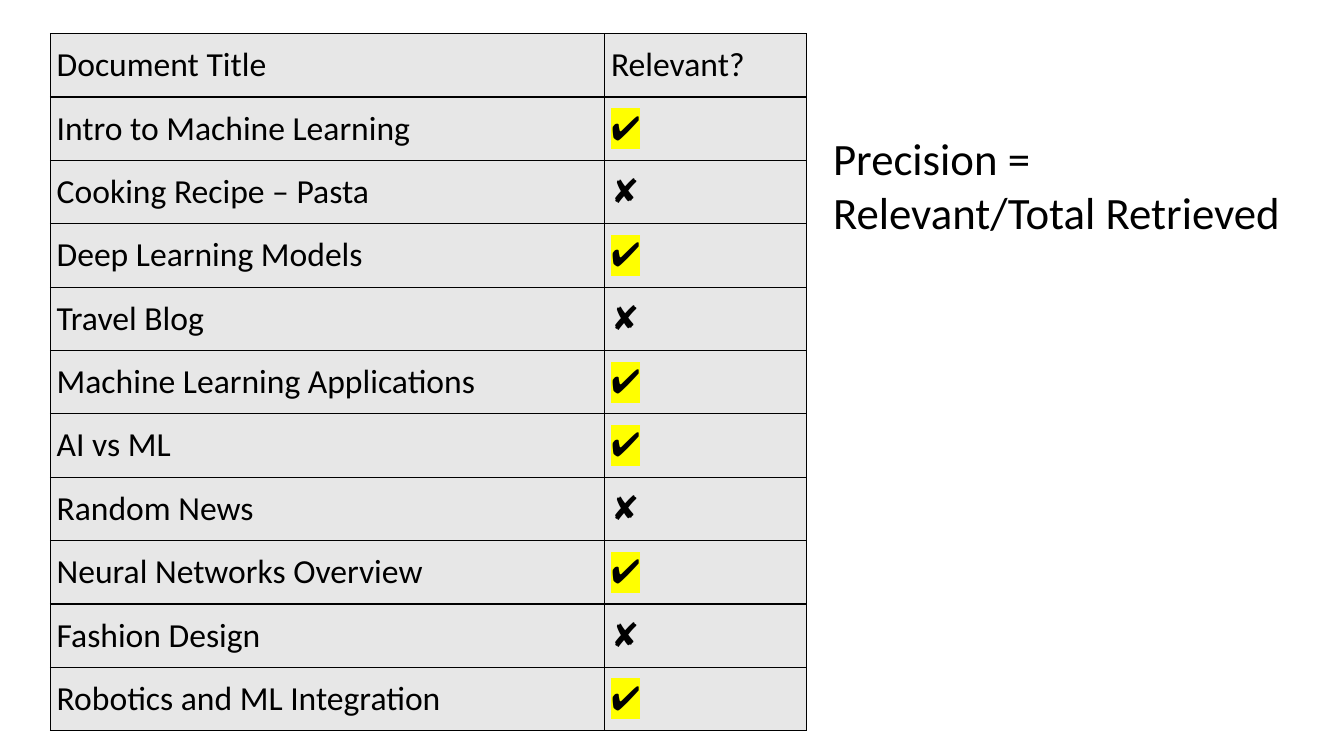
from lxml import etree
from pptx import Presentation
from pptx.dml.color import RGBColor
from pptx.enum.text import MSO_ANCHOR, MSO_AUTO_SIZE
from pptx.oxml.ns import qn
from pptx.util import Emu, Pt

MIDDLE = MSO_ANCHOR.MIDDLE
GROW_TO_TEXT = MSO_AUTO_SIZE.SHAPE_TO_FIT_TEXT
BLACK = RGBColor(0x00, 0x00, 0x00)
CELL_GREY = RGBColor(0xE7, 0xE7, 0xE7)
YELLOW = RGBColor(0xFF, 0xFF, 0x00)
FONT = "Calibri"
EMU_PER_PX = 9525
BLANK_LAYOUT = 6

HEADER = ("Document Title", "Relevant?")
RELEVANT, IRRELEVANT = "✔", "✘"
DOCUMENTS = [
    ("Intro to Machine Learning", RELEVANT),
    ("Cooking Recipe – Pasta", IRRELEVANT),
    ("Deep Learning Models", RELEVANT),
    ("Travel Blog", IRRELEVANT),
    ("Machine Learning Applications", RELEVANT),
    ("AI vs ML", RELEVANT),
    ("Random News", IRRELEVANT),
    ("Neural Networks Overview", RELEVANT),
    ("Fashion Design", IRRELEVANT),
    ("Robotics and ML Integration", RELEVANT),
]
PRECISION_FORMULA = "Precision =\nRelevant/Total Retrieved"


def px(length):
    return Emu(length * EMU_PER_PX)


def add_color(parent, tag, color):
    holder = etree.SubElement(parent, qn(tag))
    etree.SubElement(holder, qn("a:srgbClr"), val=str(color))
    return holder


def format_text(text_frame, size):
    for paragraph in text_frame.paragraphs:
        for run in paragraph.runs:
            run.font.size = Pt(size)
            run.font.name = FONT
            run.font.color.rgb = BLACK


def highlight(run):
    properties = run._r.get_or_add_rPr()
    marker = add_color(properties, "a:highlight", YELLOW)
    properties.find(qn("a:latin")).addprevious(marker)


def add_borders(cell):
    properties = cell._tc.get_or_add_tcPr()
    for position, side in enumerate(("a:lnL", "a:lnR", "a:lnT", "a:lnB")):
        border = etree.Element(qn(side), w=str(Pt(1)))
        add_color(border, "a:solidFill", BLACK)
        properties.insert(position, border)


def fill_cell(cell, text):
    cell.text_frame.text = text
    format_text(cell.text_frame, 24)
    cell.vertical_anchor = MIDDLE
    cell.margin_left = cell.margin_right = px(6)
    cell.margin_top = cell.margin_bottom = px(3)
    cell.fill.solid()
    cell.fill.fore_color.rgb = CELL_GREY
    add_borders(cell)
    if text == RELEVANT:
        highlight(cell.text_frame.paragraphs[0].runs[0])


def add_relevance_table(slide, left, top, column_widths, height):
    entries = [HEADER, *DOCUMENTS]
    table = slide.shapes.add_table(
        len(entries), len(HEADER), px(left), px(top), px(sum(column_widths)), px(height)
    ).table
    for column, width in zip(table.columns, column_widths):
        column.width = px(width)
    for row, entry in zip(table.rows, entries):
        row.height = px(height) // len(entries)
        for cell, text in zip(row.cells, entry):
            fill_cell(cell, text)


def add_formula(slide, left, top, width, height):
    formula = slide.shapes.add_textbox(px(left), px(top), px(width), px(height)).text_frame
    formula.word_wrap = True
    formula.auto_size = GROW_TO_TEXT
    formula.text = PRECISION_FORMULA
    format_text(formula, 32)


def main():
    presentation = Presentation()
    presentation.slide_width = px(1280)
    presentation.slide_height = px(720)
    slide = presentation.slides.add_slide(presentation.slide_layouts[BLANK_LAYOUT])
    add_relevance_table(slide, 48, 32, (528, 192), 664)
    add_formula(slide, 784, 120, 864, 113)
    presentation.save("out.pptx")


if __name__ == "__main__":
    main()
